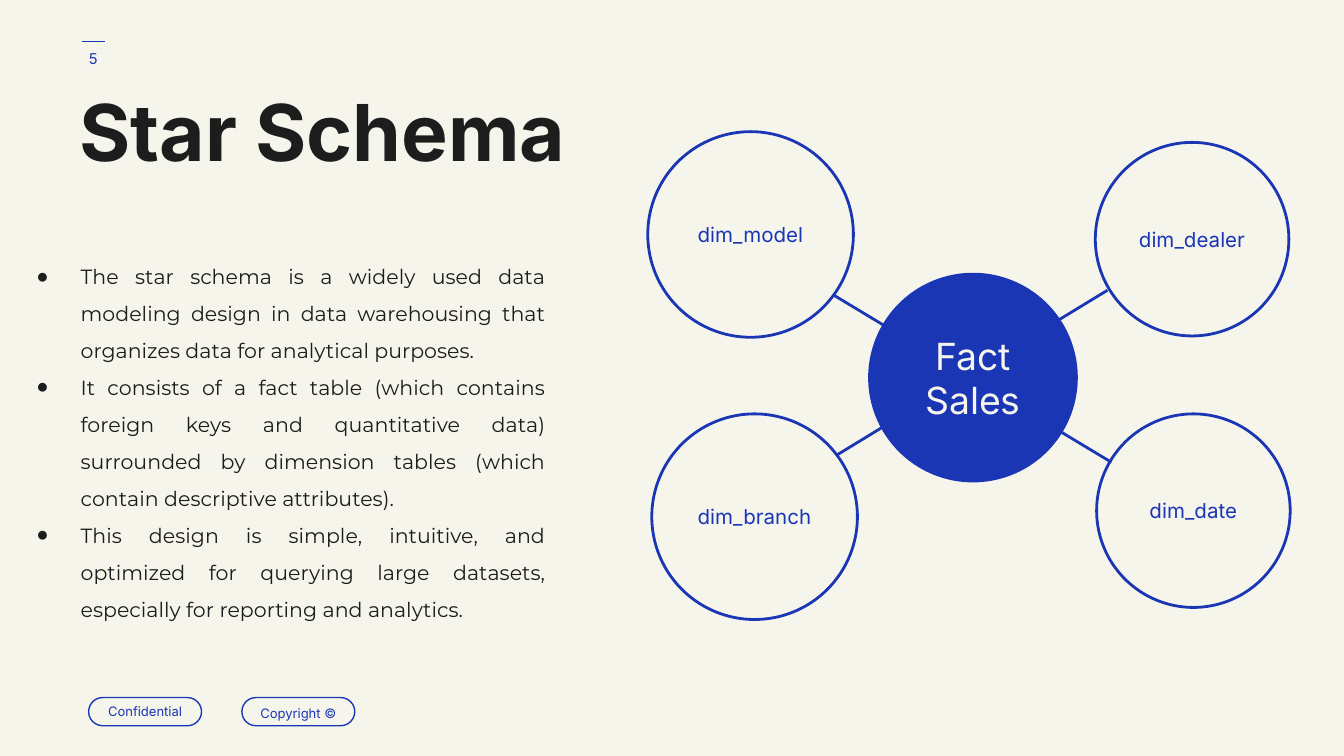
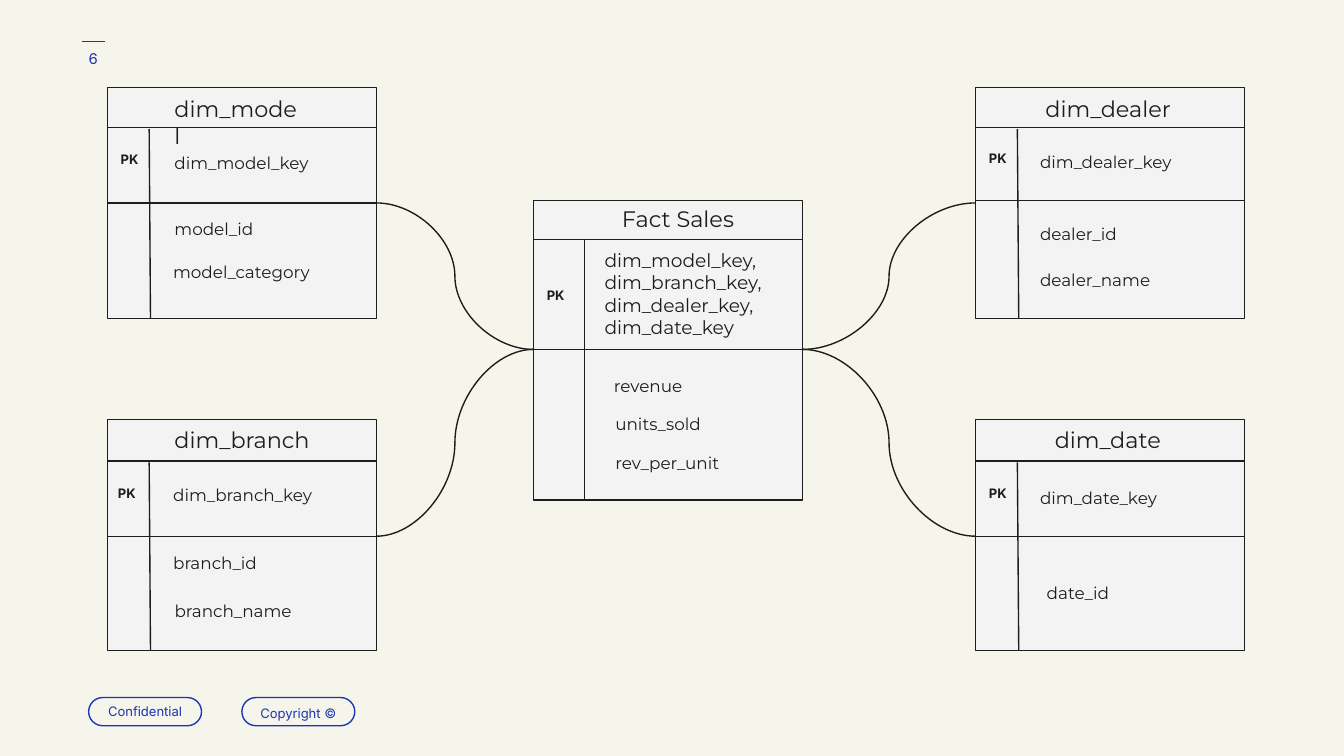
"""Build two slides that explain a star schema and draw its tables."""
import pptx
import pptx.dml.color
import pptx.enum.shapes
import pptx.enum.text
import pptx.oxml
import pptx.oxml.ns
import pptx.util
import lxml.etree

HUES = {"blue": "1A36B4", "paper": "F6F5EC", "ink": "1D1D1D", "cell": "F3F3F3"}
KIND = pptx.enum.shapes.MSO_SHAPE
LINK = pptx.enum.shapes.MSO_CONNECTOR
ALIGN = pptx.enum.text.PP_ALIGN
ANCHOR = pptx.enum.text.MSO_ANCHOR
FIT = pptx.enum.text.MSO_AUTO_SIZE
INCH = pptx.util.Inches
WIDE = 10
HIGH = WIDE * 9 / 16

TITLE = "Star Schema"
POINTS = [
    "The star schema is a widely used data modeling design in data warehousing "
    "that organizes data for analytical purposes. ",
    "It consists of a fact table (which contains foreign keys and quantitative data) "
    "surrounded by dimension tables (which contain descriptive attributes).",
    "This design is simple, intuitive, and optimized for querying large datasets, "
    "especially for reporting and analytics.",
]
PILLS = [("Confidential", 0.66, 1), ("Copyright ©", 1.8, 1.15)]
SPOKES = [((6.22, 3.39), (8.24, 2.16)), ((8.27, 3.44), (6.21, 2.2))]
HUB = ("Fact Sales", 6.46, 2.03, 1.56)
RINGS = [
    ("dim_dealer", 8.15, 1.06, 1.44),
    ("dim_model", 4.82, 0.98, 1.53),
    ("dim_branch", 4.85, 3.08, 1.53),
    ("dim_date", 8.16, 3.08, 1.44),
]

ROLES = {
    "name": (12, "Montserrat", False, 1.26, 0.4),
    "slim": (12, "Montserrat", False, 1.14, 0.4),
    "mark": (7, "Inter", True, 0.33, 0.32),
    "field": (9, "Montserrat", False, 1.24, 0.35),
    "long": (9, "Montserrat", False, 1.39, 0.35),
    "keys": (10, "Montserrat", False, 1.52, 0.88),
}
DIM = {"high": 1.72, "rail": 0.31, "lean": 0.01}
TABLES = [
    {**DIM, "at": (0.8, 0.65), "head": 0.3, "split": 0.86, "texts": [
        ("slim", "dim_model", 0.4, -0.04), ("mark", "PK", 0, 0.42),
        ("field", "dim_model_key", 0.4, 0.41), ("field", "model_id", 0.4, 0.9),
        ("field", "model_category", 0.39, 1.22)]},
    {**DIM, "at": (0.8, 3.12), "head": 0.31, "split": 0.87, "texts": [
        ("name", "dim_branch", 0.4, -0.05), ("mark", "PK", -0.02, 0.43),
        ("long", "dim_branch_key", 0.39, 0.41), ("field", "branch_id", 0.39, 0.92),
        ("long", "branch_name", 0.4, 1.27)]},
    {**DIM, "at": (7.26, 3.12), "head": 0.31, "split": 0.87, "texts": [
        ("name", "dim_date", 0.49, -0.05), ("mark", "PK", 0, 0.43),
        ("field", "dim_date_key", 0.38, 0.43), ("field", "date_id", 0.43, 1.14)]},
    {**DIM, "at": (7.26, 0.65), "head": 0.3, "split": 0.84, "texts": [
        ("name", "dim_dealer", 0.42, -0.04), ("mark", "PK", 0, 0.41),
        ("field", "dim_dealer_key", 0.38, 0.4), ("field", "dealer_id", 0.38, 0.94),
        ("field", "dealer_name", 0.38, 1.28)]},
    {"at": (3.97, 1.49), "high": 2.23, "head": 0.29, "split": 1.11, "rail": 0.38,
     "lean": 0, "texts": [
        ("name", "Fact Sales", 0.56, -0.06), ("mark", "PK", 0, 0.59),
        ("keys", "dim_model_key, dim_branch_key,\ndim_dealer_key,\ndim_date_key",
         0.43, 0.26),
        ("field", "revenue", 0.5, 1.23), ("field", "units_sold", 0.51, 1.51),
        ("field", "rev_per_unit", 0.51, 1.8)]},
]
SPAN = 2
CURVES = [(x, y, end) for x, end in ((2.8, 3.97), (7.26, 5.97)) for y in (1.51, 3.99)]
JOIN = 2.6


def tint(name):
    return pptx.dml.color.RGBColor.from_string(HUES[name])


def place(item, *box):
    item.left, item.top, item.width, item.height = map(INCH, box)


def write(item, text, size, font, hue, bold=False, align=ALIGN.LEFT,
          anchor=ANCHOR.TOP, space=1):
    frame = item.text_frame
    frame.text = text
    frame.word_wrap = True
    frame.auto_size = FIT.NONE
    frame.vertical_anchor = anchor
    frame.margin_left = frame.margin_right = INCH(0.1)
    frame.margin_top = frame.margin_bottom = INCH(0.1)
    for para in frame.paragraphs:
        para.alignment = align
        para.line_spacing = space
        para.space_before = para.space_after = pptx.util.Pt(0)
        for run in para.runs:
            run.font.size = pptx.util.Pt(size)
            run.font.name = font
            run.font.bold = bold
            run.font.color.rgb = tint(hue)
    return frame


def draw(slide, kind, box, fill=None, edge=None, weight=0.75):
    item = slide.shapes.add_shape(kind, *map(INCH, box))
    item.shadow.inherit = False
    if kind == KIND.ROUNDED_RECTANGLE:
        item.adjustments[0] = 0.5
    if fill:
        item.fill.solid()
        item.fill.fore_color.rgb = tint(fill)
    else:
        item.fill.background()
    if edge:
        item.line.color.rgb = tint(edge)
        item.line.width = pptx.util.Pt(weight)
    else:
        item.line.fill.background()
    return item


def link(slide, start, end, hue="ink", weight=0.75, kind=LINK.STRAIGHT):
    item = slide.shapes.add_connector(kind, *map(INCH, (*start, *end)))
    item.line.color.rgb = tint(hue)
    item.line.width = pptx.util.Pt(weight)
    lxml.etree.SubElement(item._element.spPr, pptx.oxml.ns.qn("a:effectLst"))


def label(slide, text, box, *style, **more):
    item = slide.shapes.add_textbox(*map(INCH, box))
    return write(item, text, *style, **more)


def pill(slide, text, box, size, hue, fill=None, edge=None, weight=0.75, space=1):
    item = draw(slide, KIND.ROUNDED_RECTANGLE, box, fill, edge, weight)
    write(item, text, size, "Inter", hue, align=ALIGN.CENTER,
          anchor=ANCHOR.MIDDLE, space=space)


def start(deck, layout, number):
    slide = deck.slides.add_slide(deck.slide_layouts[layout])
    link(slide, (0.78, 0.31), (0.61, 0.31), "blue")
    for text, left, space in PILLS:
        pill(slide, text, (left, 5.19, 0.84, 0.21), 7, "blue", edge="blue", space=space)
    label(slide, str(number), (0.46, 0.22, 0.47, 0.43), 8, "Inter", "blue",
          align=ALIGN.CENTER, anchor=ANCHOR.MIDDLE)
    return slide


def dot(para):
    prop = para._p.get_or_add_pPr()
    prop.set("marL", str(INCH(0.5)))
    prop.set("indent", str(INCH(-0.33)))
    hue = lxml.etree.SubElement(prop, pptx.oxml.ns.qn("a:buClr"))
    lxml.etree.SubElement(hue, pptx.oxml.ns.qn("a:srgbClr"), val=HUES["ink"])
    lxml.etree.SubElement(prop, pptx.oxml.ns.qn("a:buChar"), char="●")


def star(deck):
    slide = start(deck, 1, 5)
    title, body = slide.placeholders
    place(title, 0.49, 0.65, 4.32, 0.79)
    write(title, TITLE, 42, "Inter", "ink", bold=True, space=0.8)
    place(body, 0, 1.77, 4.16, 2.84)
    frame = write(body, "\n".join(POINTS), 11, "Montserrat", "ink",
                  align=ALIGN.JUSTIFY, space=1.5)
    for para in frame.paragraphs:
        dot(para)
    for ends in SPOKES:
        link(slide, *ends, "blue", 1.5)
    text, left, top, size = HUB
    pill(slide, text, (left, top, size, size), 20, "paper", fill="blue")
    for text, left, top, size in RINGS:
        pill(slide, text, (left, top, size, size), 11, "blue", edge="blue", weight=1.5)


def table(slide, spots):
    left, top = spots["at"]
    head, high = top + spots["head"], spots["high"]
    rail = left + spots["rail"]
    draw(slide, KIND.RECTANGLE, (left, top, SPAN, high), "cell", "ink")
    for y in (head, top + spots["split"]):
        link(slide, (left, y), (left + SPAN, y))
    link(slide, (rail, head + spots["lean"]), (rail + spots["lean"], top + high))
    for role, text, right, down in spots["texts"]:
        size, font, bold, wide, tall = ROLES[role]
        frame = label(slide, text, (left + right, top + down, wide, tall),
                      size, font, "ink", bold)
        frame.auto_size = FIT.SHAPE_TO_FIT_TEXT


def schema(deck):
    slide = start(deck, 6, 6)
    for spots in TABLES:
        table(slide, spots)
    for x, y, end in CURVES:
        link(slide, (x, y), (end, JOIN), kind=LINK.CURVE)


def main():
    deck = pptx.Presentation()
    deck.slide_width, deck.slide_height = INCH(WIDE), INCH(HIGH)
    fill = deck.slide_master.background.fill
    fill.solid()
    fill.fore_color.rgb = tint("paper")
    star(deck)
    schema(deck)
    deck.save("out.pptx")


if __name__ == "__main__":
    main()
